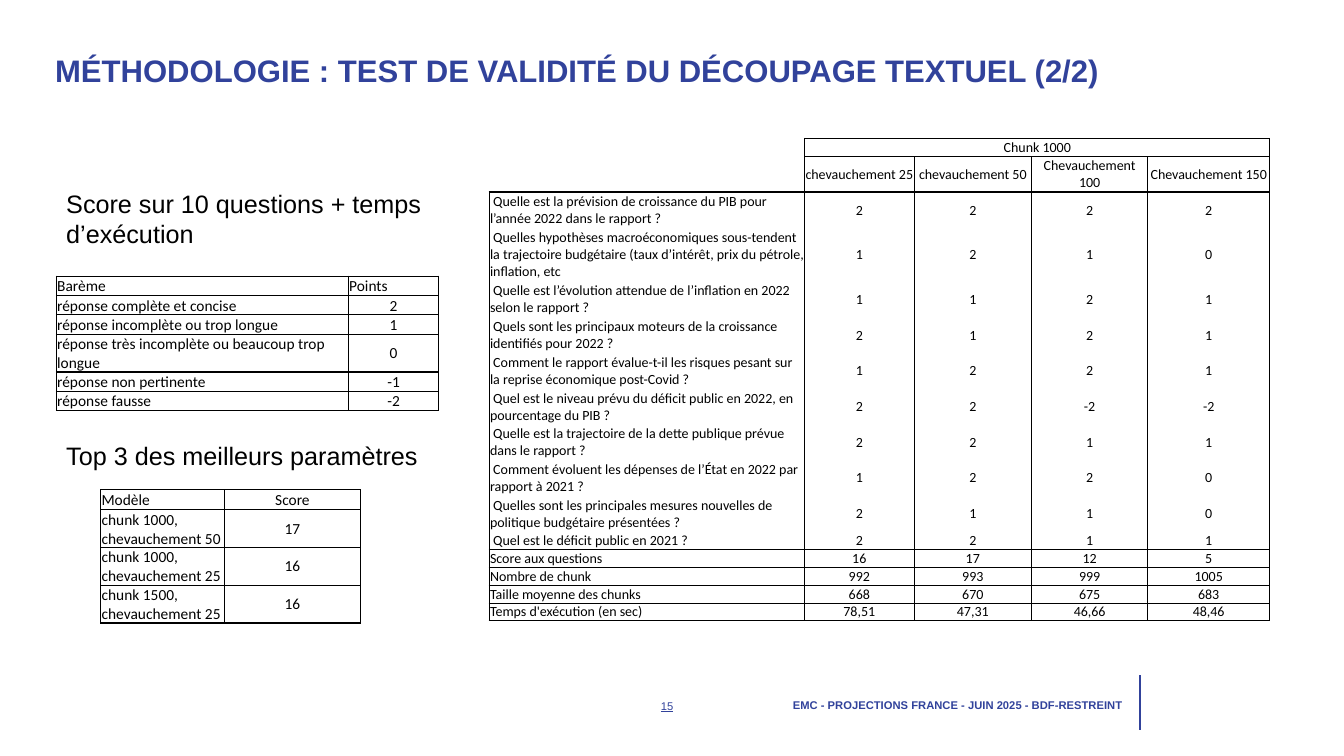
from lxml.etree import SubElement as Sub
from pptx import Presentation
from pptx.dml.color import RGBColor
from pptx.enum.shapes import MSO_CONNECTOR as Link
from pptx.enum.text import MSO_ANCHOR as Anchor, PP_ALIGN as Align
from pptx.oxml.ns import qn
from pptx.util import Cm, Pt

color = RGBColor.from_string
BLUE, BLACK = "31429B", "000000"

deck = Presentation()
deck.slide_width, deck.slide_height = Cm(33.87), Cm(19.05)
slide = deck.slides.add_slide(deck.slide_layouts[6])


def write(para, text, tint=BLACK, align=Align.LEFT, **form):
    para.alignment = align
    run = para.add_run()
    run.text = text
    run.font.color.rgb = color(tint)
    for key, val in form.items():
        setattr(run.font, key, val)


def grid(left, top, cols, highs, rows, size, hor, ver, base=Anchor.MIDDLE):
    """Draw a table; hor and ver give the width of each ruling line."""
    frame = slide.shapes.add_table(len(rows), len(cols), Cm(left), Cm(top),
                                   Cm(sum(cols)), Cm(sum(highs)))
    table = frame.table
    table.first_row = table.horz_banding = False
    for col, wide in zip(table.columns, cols):
        col.width = Cm(wide)
    for row, high in zip(table.rows, highs):
        row.height = Cm(high)
    for r, row in enumerate(rows):
        for c, text in enumerate(row):
            cell = table.cell(r, c)
            form = {"margin_left": Cm(0.02), "margin_right": Cm(0.02),
                    "margin_top": Cm(0.02), "margin_bottom": 0,
                    "vertical_anchor": Anchor.MIDDLE if r and c else base}
            for key, val in form.items():
                setattr(cell, key, val)
            para = cell.text_frame.paragraphs[0]
            if text:
                side = Align.CENTER if c and text != "Points" else Align.LEFT
                write(para, text, align=side, size=Pt(size), name="Calibri")
            else:
                Sub(para._p, qn("a:endParaRPr"), sz=str(size * 100))
            # Borders come before the fill in the cell properties
            props = cell._tc.get_or_add_tcPr()
            edges = {"L": ver(r, c), "R": ver(r, c + 1),
                     "T": hor(r, c), "B": hor(r + 1, c)}
            for edge, wide in edges.items():
                line = Sub(props, qn("a:ln" + edge), w=str(Pt(wide)))
                if wide:
                    fill = Sub(line, qn("a:solidFill"))
                    Sub(fill, qn("a:srgbClr"), val=BLACK)
                else:
                    Sub(line, qn("a:noFill"))
            cell.fill.background()
    return table


# Title, headings and footer
head = {"size": Pt(18), "name": "Arial"}
foot = {"size": Pt(8), "name": "Arial", "tint": BLUE}
texts = [
    (1.14, 1.35, 29.82, 1.02, "MÉTHODOLOGIE : TEST DE VALIDITÉ DU DÉCOUPAGE TEXTUEL (2/2)",
     {"size": Pt(22.2), "name": "Arial", "tint": BLUE, "bold": True}),
    (1.42, 4.62, 11.73, 1.8, "Score sur 10 questions + temps d’exécution", head),
    (1.42, 10.97, 11.73, 1.02, "Top 3 des meilleurs paramètres", head),
    (17.53, 17.25, 11.02, 1.02, "EMC - PROJECTIONS FRANCE - JUIN 2025 - BDF-RESTREINT",
     {**foot, "bold": True, "align": Align.RIGHT}),
    (16.38, 17.27, 1.12, 1.02, "15", {**foot, "underline": True, "align": Align.CENTER}),
]
for left, top, wide, high, text, form in texts:
    box = slide.shapes.add_textbox(Cm(left), Cm(top), Cm(wide), Cm(high)).text_frame
    box.word_wrap = True
    para = box.paragraphs[0]
    write(para, text, **form)
    if form["size"] == Pt(8):
        box.margin_left = 0
        box.vertical_anchor = Anchor.MIDDLE
    elif form["size"] > Pt(20):
        para.line_spacing = 0.8

# Footer rule
rule = slide.shapes.add_connector(Link.STRAIGHT, Cm(28.73), Cm(17.02), Cm(28.73), Cm(18.39))
rule.line.color.rgb = color(BLUE)
rule.line.width = Pt(1)
Sub(rule._element.spPr, qn("a:effectLst"))

# Scores by question
asks = [
    (" Quelle est la prévision de croissance du PIB pour l’année 2022 dans le rapport ?", "2 2 2 2"),
    (" Quelles hypothèses macroéconomiques sous-tendent la trajectoire budgétaire "
     "(taux d’intérêt, prix du pétrole, inflation, etc", "1 2 1 0"),
    (" Quelle est l’évolution attendue de l’inflation en 2022 selon le rapport ?", "1 1 2 1"),
    (" Quels sont les principaux moteurs de la croissance identifiés pour 2022 ?", "2 1 2 1"),
    (" Comment le rapport évalue-t-il les risques pesant sur la reprise économique post-Covid ?",
     "1 2 2 1"),
    (" Quel est le niveau prévu du déficit public en 2022, en pourcentage du PIB ?", "2 2 -2 -2"),
    (" Quelle est la trajectoire de la dette publique prévue dans le rapport ?", "2 2 1 1"),
    (" Comment évoluent les dépenses de l’État en 2022 par rapport à 2021 ?", "1 2 2 0"),
    (" Quelles sont les principales mesures nouvelles de politique budgétaire présentées ?",
     "2 1 1 0"),
    (" Quel est le déficit public en 2021 ?", "2 2 1 1"),
    ("Score aux questions", "16 17 12 5"),
    ("Nombre de chunk", "992 993 999 1005"),
    ("Taille moyenne des chunks", "668 670 675 683"),
    ("Temps d'exécution (en sec)", "78,51 47,31 46,66 48,46"),
]
rows = [["", "Chunk 1000", "", "", ""],
        ["", "chevauchement 25", "chevauchement 50", "Chevauchement 100", "Chevauchement 150"]]
rows += [[ask, *marks.split()] for ask, marks in asks]
highs = [0.45, 0.9, 0.9, 1.35] + [0.9] * 7 + [0.45] * 5


def hor(i, c):
    if 2 < i < 12 or (c == 0 and i < 2):
        return 0
    return 1 if i in (0, 2, 16) else 0.5


scores = grid(12.33, 3.49, [7.95, 2.75, 2.97, 2.92, 3.08], highs, rows, 10, hor,
              lambda r, i: (r > 1) if i == 0 else 1 if r == 0 or i in (1, 5) else 0.5)
scores.cell(0, 1).merge(scores.cell(0, 4))

# Marking scale and best settings
scale = [("Barème", "Points"), ("réponse complète et concise", "2"),
         ("réponse incomplète ou trop longue", "1"),
         ("réponse très incomplète ou beaucoup trop longue", "0"),
         ("réponse non pertinente", "-1"), ("réponse fausse", "-2")]
best = [("Modèle", "Score"), ("chunk 1000, chevauchement 50", "17"),
        ("chunk 1000, chevauchement 25", "16"), ("chunk 1500, chevauchement 25", "16")]
for left, top, cols, high, rows, base in [
        (1.42, 6.96, [7.36, 2.28], 0.38, scale, Anchor.BOTTOM),
        (2.54, 12.34, [3.12, 3.42], 0.5, best, Anchor.MIDDLE)]:
    grid(left, top, cols, [high] * len(rows), rows, 11,
         lambda i, c: 1, lambda r, i: 1, base)

deck.save("out.pptx")
